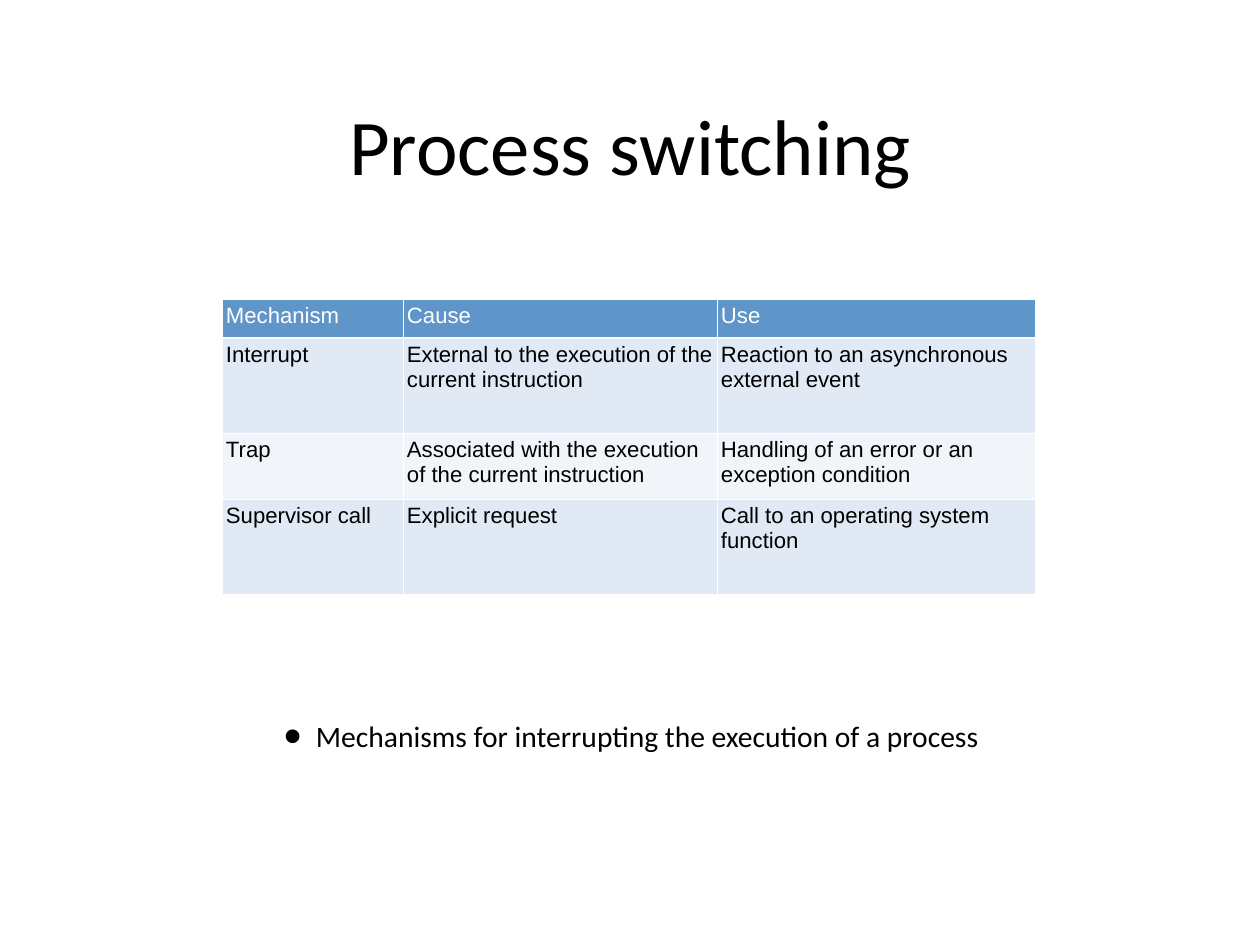
from lxml import etree
from pptx import Presentation
from pptx.dml.color import RGBColor
from pptx.enum.text import MSO_ANCHOR, PP_ALIGN
from pptx.oxml.ns import qn
from pptx.util import Inches, Pt

MIDDLE = MSO_ANCHOR.MIDDLE
CENTER = PP_ALIGN.CENTER
PX = 914400 / 88.6

WIDE, HIGH = Inches(14.22), Inches(10.66)
BLACK, WHITE = "000000", "FFFFFF"
HEAD, ODD, EVEN = "6095C9", "E1EAF4", "F1F5FA"

TITLE = "Process switching"
POINT = "Mechanisms for interrupting the execution of a process"
ROWS = [
    ("Mechanism", "Cause", "Use"),
    ("Interrupt", "External to the execution of the current instruction",
     "Reaction to an asynchronous\nexternal event"),
    ("Trap", "Associated with the execution of the current instruction",
     "Handling of an error or an\nexception condition"),
    ("Supervisor call", "Explicit request",
     "Call to an operating system\nfunction"),
]
TITLE_BOX = (123, 25, 1014, 237)
POINT_BOX = (120, 701, 1111, 69)
TABLE_AT = (222, 299)
WIDTHS = (181, 314, 318)
HEIGHTS = (39, 95, 66, 95)
THIN, THICK = 0.45, 1.47


def emu(px):
    return round(px * PX)


def rgb(color):
    return RGBColor.from_string(color)


def write(par, text, font, size, color):
    run = par.add_run()
    run.text = text
    run.font.name = font
    run.font.size = Pt(size)
    run.font.color.rgb = rgb(color)


def add_box(slide, place):
    """Add a wrapped, middle-anchored text box and return its paragraph."""
    frame = slide.shapes.add_textbox(*map(emu, place)).text_frame
    frame.word_wrap = True
    frame.vertical_anchor = MIDDLE
    frame.margin_left = frame.margin_right = emu(5)
    frame.margin_top = frame.margin_bottom = emu(5)
    return frame.paragraphs[0]


def add_bullet(par, left, hang, percent):
    props = par._p.get_or_add_pPr()
    props.set("marL", str(emu(left)))
    props.set("indent", str(-emu(hang)))
    color = etree.SubElement(props, qn("a:buClr"))
    etree.SubElement(color, qn("a:srgbClr"), val=BLACK)
    etree.SubElement(props, qn("a:buSzPct"), val=str(percent * 1000))
    etree.SubElement(props, qn("a:buFont"), typeface="Arial")
    etree.SubElement(props, qn("a:buChar"), char="•")


def add_edges(cell, row):
    """Draw white borders, thicker between the header and the first row."""
    props = cell._tc.get_or_add_tcPr()
    widths = {"lnL": THIN, "lnR": THIN,
              "lnT": THICK if row == 1 else THIN,
              "lnB": THICK if row == 0 else THIN}
    for spot, (tag, width) in enumerate(widths.items()):
        line = etree.Element(qn("a:" + tag), w=str(int(Pt(width))))
        fill = etree.SubElement(line, qn("a:solidFill"))
        etree.SubElement(fill, qn("a:srgbClr"), val=WHITE)
        props.insert(spot, line)


def fill_cell(cell, row, text):
    cell.margin_left = cell.margin_right = emu(4)
    cell.margin_top = cell.margin_bottom = emu(4)
    cell.fill.solid()
    cell.fill.fore_color.rgb = rgb(
        HEAD if row == 0 else ODD if row % 2 else EVEN)
    add_edges(cell, row)
    frame = cell.text_frame
    for spot, line in enumerate(text.split("\n")):
        par = frame.add_paragraph() if spot else frame.paragraphs[0]
        write(par, line, "Arial", 18, BLACK if row else WHITE)


def add_grid(slide):
    place = (*TABLE_AT, sum(WIDTHS), sum(HEIGHTS))
    table = slide.shapes.add_table(
        len(ROWS), len(WIDTHS), *map(emu, place)).table
    for col, width in zip(table.columns, WIDTHS):
        col.width = emu(width)
    for row, height in enumerate(HEIGHTS):
        table.rows[row].height = emu(height)
        for col, text in enumerate(ROWS[row]):
            fill_cell(table.cell(row, col), row, text)


def main():
    deck = Presentation()
    deck.slide_width, deck.slide_height = WIDE, HIGH
    slide = deck.slides.add_slide(deck.slide_layouts[6])

    title = add_box(slide, TITLE_BOX)
    title.alignment = CENTER
    write(title, TITLE, "Calibri", 64, BLACK)

    point = add_box(slide, POINT_BOX)
    add_bullet(point, 191, 32, 171)
    write(point, POINT, "Calibri", 24, BLACK)

    add_grid(slide)
    deck.save("out.pptx")


if __name__ == "__main__":
    main()
